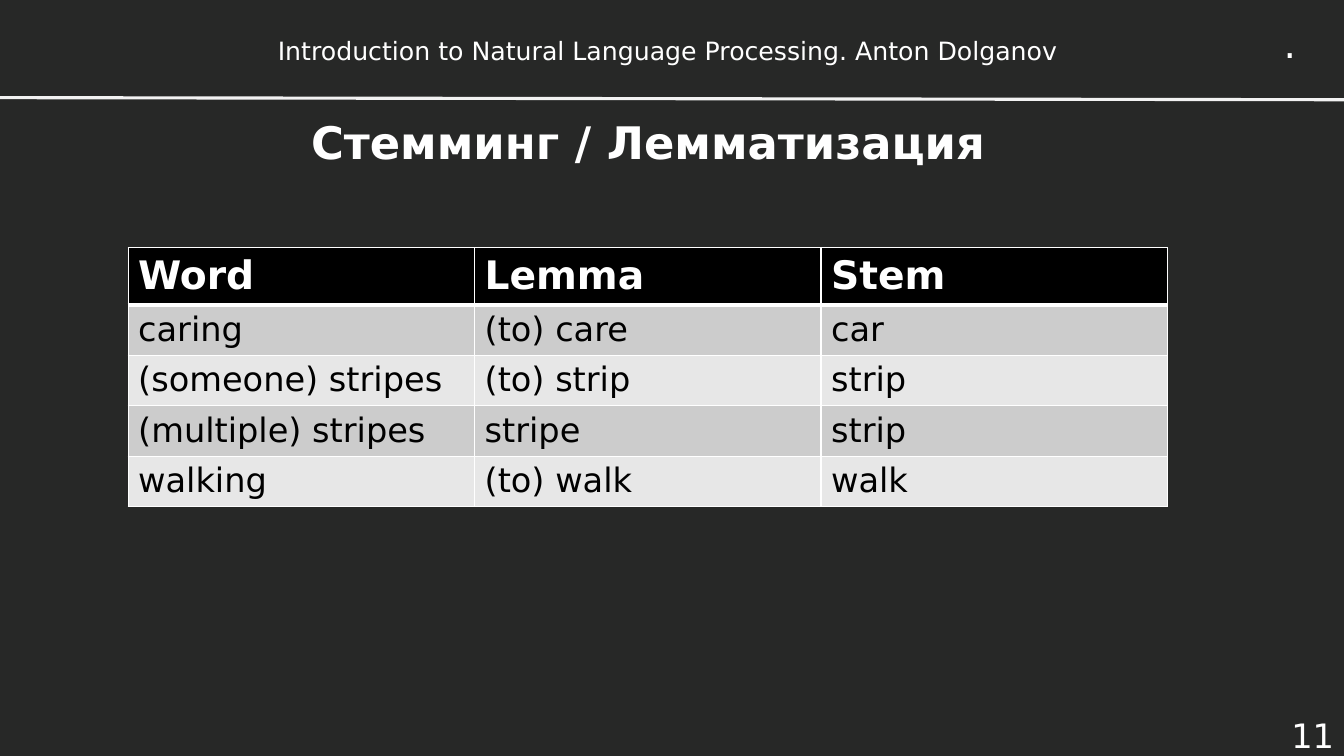
from lxml.etree import SubElement
from pptx import Presentation
from pptx.dml.color import RGBColor
from pptx.enum.shapes import MSO_CONNECTOR
from pptx.enum.text import MSO_ANCHOR, PP_ALIGN
from pptx.oxml.ns import qn
from pptx.util import Emu, Pt

PX = 9525
FONT = "DejaVu Sans"
COLORS = {
    "background": "272827",
    "text": "FFFFFF",
    "rule": "F2F2F2",
    "table_header": "000000",
    "table_text": "000000",
    "odd_row": "CCCCCC",
    "even_row": "E7E7E7",
    "border": "FFFFFF",
}
WORD_FORMS = [
    ("Word", "Lemma", "Stem"),
    ("caring", "(to) care", "car"),
    ("(someone) stripes", "(to) strip", "strip"),
    ("(multiple) stripes", "stripe", "strip"),
    ("walking", "(to) walk", "walk"),
]


def px(*lengths):
    """Turn pixel lengths into EMU."""
    return [Emu(length * PX) for length in lengths]


def color(name):
    """Look up a colour by its role."""
    return RGBColor.from_string(COLORS[name])


def write(text_frame, text, size, color_name="text", bold=False, align=PP_ALIGN.LEFT):
    """Set one formatted paragraph."""
    text_frame.text = text
    paragraph = text_frame.paragraphs[0]
    paragraph.alignment = align
    font = paragraph.runs[0].font
    font.name, font.size, font.bold = FONT, Pt(size), bold
    font.color.rgb = color(color_name)


def add_label(slide, box, text, size, align, anchor=MSO_ANCHOR.TOP, wrap=True):
    """Add a text box with one line of text."""
    text_frame = slide.shapes.add_textbox(*px(*box)).text_frame
    text_frame.word_wrap = wrap
    text_frame.vertical_anchor = anchor
    write(text_frame, text, size, align=align)


def add_header(slide, box):
    """Add the course line, the corner dot and the rule below them."""
    left, top, width, height = box
    add_label(slide, (left + 239, top + 29, 794, 38),
              "Introduction to Natural Language Processing. Anton Dolganov",
              18, PP_ALIGN.CENTER)
    add_label(slide, (left + width - 67, top + 14, 33, 55), ".", 28,
              PP_ALIGN.LEFT, wrap=False)
    bottom = top + height
    rule = slide.shapes.add_connector(
        MSO_CONNECTOR.STRAIGHT, *px(left, bottom - 2, left + width, bottom))
    rule.line.color.rgb = color("rule")
    rule.line.width = Pt(2.25)
    SubElement(rule._element.spPr, qn("a:effectLst"))


def add_title(slide, box, text):
    """Place and format the title placeholder."""
    title = slide.shapes.title
    title.left, title.top, title.width, title.height = px(*box)
    title.text_frame.vertical_anchor = MSO_ANCHOR.MIDDLE
    write(title.text_frame, text, 32, bold=True, align=PP_ALIGN.CENTER)


def set_borders(cell, top, bottom):
    """Draw the cell borders, with top and bottom widths in points."""
    properties = cell._tc.get_or_add_tcPr()
    for side, width in (("L", 1), ("R", 1), ("T", top), ("B", bottom)):
        line = SubElement(properties, qn(f"a:ln{side}"), w=str(Pt(width)))
        fill = SubElement(line, qn("a:solidFill"))
        SubElement(fill, qn("a:srgbClr"), val=COLORS["border"])


def add_word_table(slide, box, rows, header_height):
    """Add the table, sharing the box equally among columns and body rows."""
    left, top, width, height = box
    table = slide.shapes.add_table(
        len(rows), len(rows[0]), *px(left, top, width, height)).table
    for column in table.columns:
        column.width = Emu(width * PX // len(rows[0]))
    body_height = (height - header_height) // (len(rows) - 1)
    for row_index, values in enumerate(rows):
        is_header = row_index == 0
        row_fill = "odd_row" if row_index % 2 else "even_row"
        table.rows[row_index].height = px(header_height if is_header else body_height)[0]
        for column_index, value in enumerate(values):
            cell = table.cell(row_index, column_index)
            set_borders(cell, 3 if row_index == 1 else 1, 3 if is_header else 1)
            cell.fill.solid()
            cell.fill.fore_color.rgb = color("table_header" if is_header else row_fill)
            write(cell.text_frame, value, 28 if is_header else 24,
                  "text" if is_header else "table_text", is_header)


def add_word_forms_slide(presentation):
    """Add the slide comparing lemmas and stems."""
    slide = presentation.slides.add_slide(presentation.slide_layouts[5])
    slide.background.fill.solid()
    slide.background.fill.fore_color.rgb = color("background")
    add_title(slide, (202, 91, 831, 87), "Стемминг / Лемматизация")
    add_label(slide, (1179, 680, 101, 40), "11", 24, PP_ALIGN.RIGHT, MSO_ANCHOR.MIDDLE)
    add_header(slide, (0, 0, 1280, 95))
    add_word_table(slide, (122, 236, 990, 246), WORD_FORMS, 54)


def main():
    """Build and save the presentation."""
    presentation = Presentation()
    presentation.slide_width, presentation.slide_height = px(1280, 720)
    add_word_forms_slide(presentation)
    presentation.save("out.pptx")


if __name__ == "__main__":
    main()
